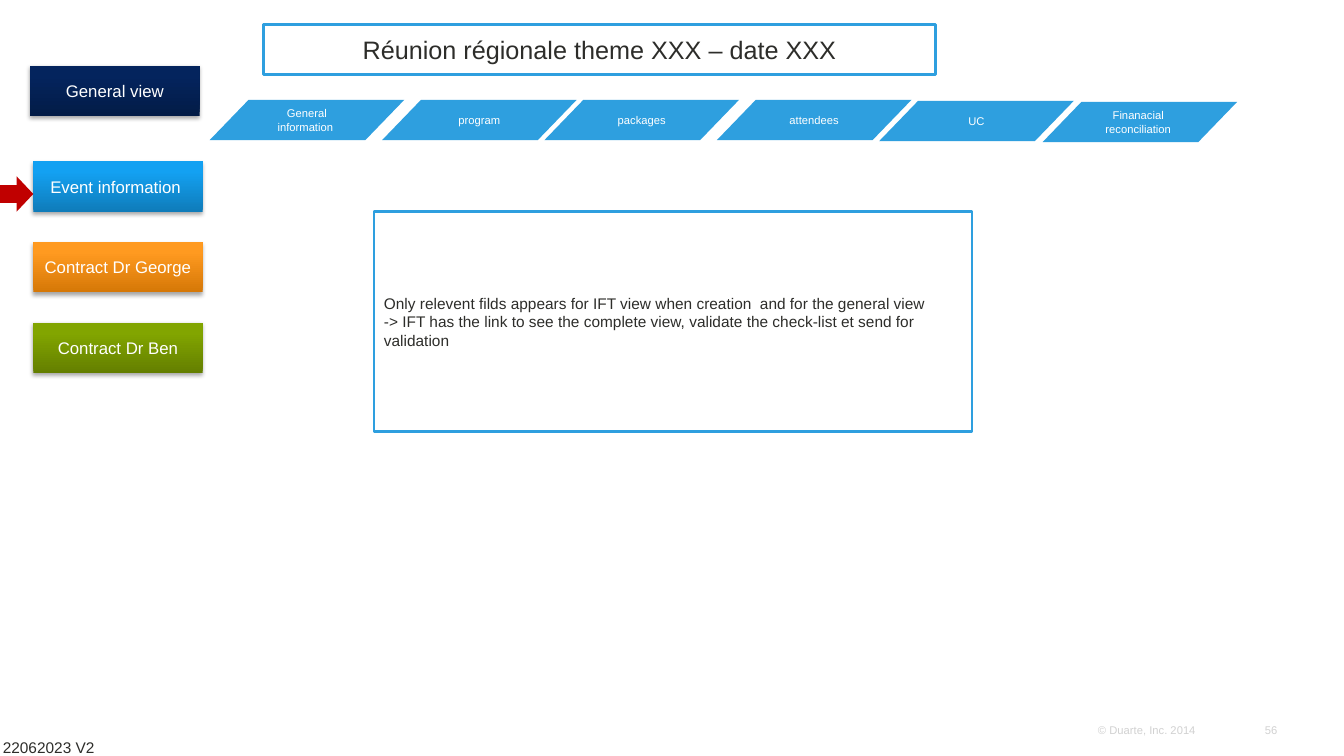
"""Build the event information slide; box lengths are percentages of the slide's size."""
import lxml.etree
import pptx
import pptx.dml.color
import pptx.enum.dml
import pptx.enum.shapes
import pptx.enum.text
import pptx.oxml.ns
import pptx.util

RGBColor = pptx.dml.color.RGBColor
SHAPE = pptx.enum.shapes.MSO_SHAPE
ALIGN = pptx.enum.text.PP_ALIGN
ANCHOR = pptx.enum.text.MSO_ANCHOR
AUTO_SIZE = pptx.enum.text.MSO_AUTO_SIZE
qn = pptx.oxml.ns.qn

WIDTH = pptx.util.Inches(13.33)
HEIGHT = pptx.util.Inches(7.5)
FONT = "Arial"

WHITE = RGBColor(0xFF, 0xFF, 0xFF)
INK = RGBColor(0x2D, 0x2D, 0x2A)
GREY = RGBColor(0xD1, 0xD1, 0xD1)
SKY = RGBColor(0x2E, 0x9F, 0xDF)
RED = RGBColor(0xC0, 0x00, 0x00)
NAVY_DARK, NAVY = RGBColor(0x03, 0x1C, 0x47), RGBColor(0x04, 0x24, 0x5D)
BLUE_DARK, BLUE = RGBColor(0x0F, 0x7C, 0xBA), RGBColor(0x13, 0xA1, 0xF2)
ORANGE_DARK, ORANGE = RGBColor(0xD6, 0x78, 0x07), RGBColor(0xFF, 0x9A, 0x20)
GREEN_DARK, GREEN = RGBColor(0x64, 0x7F, 0x00), RGBColor(0x82, 0xA5, 0x00)

STEPS = [
    ("General information ", 15.6, 13.2),
    ("program", 28.43, 13.2),
    ("packages", 40.51, 13.2),
    ("attendees", 53.34, 13.2),
    ("UC", 65.42, 13.33),
    ("Finanacial  reconciliation ", 77.57, 13.47),
]
BUTTONS = [
    ("General view", 2.25, 8.67, NAVY_DARK, NAVY),
    ("Event information ", 2.48, 21.33, BLUE_DARK, BLUE),
    ("Contract Dr George", 2.48, 32, ORANGE_DARK, ORANGE),
    ("Contract Dr Ben", 2.48, 42.67, GREEN_DARK, GREEN),
]
NOTE = (
    "Only relevent filds appears for IFT view when creation  and for the general view\n"
    "-> IFT has the link to see the complete view, validate the check-list et send for validation"
)


def box(left, top, width, height):
    """Turn percentages of the slide into lengths."""
    return (int(WIDTH * left / 100), int(HEIGHT * top / 100),
            int(WIDTH * width / 100), int(HEIGHT * height / 100))


def write(sp, text, size, color, align=ALIGN.CENTER, anchor=ANCHOR.MIDDLE):
    """Put formatted text in a shape."""
    tf = sp.text_frame
    tf.text = text
    tf.word_wrap = True
    tf.auto_size = AUTO_SIZE.NONE
    tf.vertical_anchor = anchor
    for p in tf.paragraphs:
        p.alignment = align
        for r in p.runs:
            r.font.name = FONT
            r.font.size = pptx.util.Pt(size)
            r.font.color.rgb = color


def add_plain(slide, kind, place, color):
    """Add a flat shape without outline or shadow."""
    sp = slide.shapes.add_shape(kind, *box(*place))
    sp.shadow.inherit = False
    sp.fill.solid()
    sp.fill.fore_color.rgb = color
    sp.line.fill.background()
    return sp


def frame(sp):
    """Give a shape a white fill and a blue outline."""
    sp.fill.solid()
    sp.fill.fore_color.rgb = WHITE
    sp.line.color.rgb = SKY
    sp.line.width = pptx.util.Pt(2)


def drop_shadow(sp):
    """Add a soft shadow below a shape."""
    effects = sp._element.spPr.find(qn("a:effectLst"))
    shadow = lxml.etree.SubElement(
        effects, qn("a:outerShdw"), blurRad=str(pptx.util.Pt(3.1)),
        dist=str(pptx.util.Pt(1.8)), dir="5400000", rotWithShape="0")
    color = lxml.etree.SubElement(shadow, qn("a:srgbClr"), val="000000")
    lxml.etree.SubElement(color, qn("a:alpha"), val="35000")


def add_button(slide, text, left, top, dark, light):
    """Add a navigation button shaded from dark at the bottom to light."""
    sp = add_plain(slide, SHAPE.RECTANGLE, (left, top, 12.6, 6.67), light)
    sp.fill.gradient()
    sp.fill.gradient_angle = 90
    for stop, color, position in zip(sp.fill.gradient_stops, (dark, light), (0, 0.8)):
        stop.color.rgb = color
        stop.position = position
    drop_shadow(sp)
    write(sp, text, 12, WHITE)


def add_step(slide, text, left, top):
    """Add one slanted step of the process bar."""
    sp = add_plain(slide, SHAPE.FLOWCHART_DATA, (left, top, 14.48, 5.33), SKY)
    write(sp, text, 8, WHITE)


def add_footer(slide, text, place):
    """Add a small right-aligned footer text without margins."""
    sp = slide.shapes.add_textbox(*box(*place))
    write(sp, text, 8, GREY, ALIGN.RIGHT, ANCHOR.TOP)
    tf = sp.text_frame
    tf.margin_left = tf.margin_right = tf.margin_top = tf.margin_bottom = 0


def main():
    """Build and save the slide."""
    prs = pptx.Presentation()
    prs.slide_width, prs.slide_height = WIDTH, HEIGHT
    slide = prs.slides.add_slide(prs.slide_layouts[5])

    title = slide.shapes.title
    title.left, title.top, title.width, title.height = box(19.58, 3.2, 50.04, 6.67)
    frame(title)
    write(title, "Réunion régionale theme XXX – date XXX", 18, INK)

    add_footer(slide, "56", (89.05, 95.73, 6, 1.73))
    add_footer(slide, "© Duarte, Inc. 2014", (76.97, 95.73, 12, 1.73))
    version = slide.shapes.add_textbox(*box(-0.53, 96.93, 21.23, 3.87))
    write(version, "22062023 V2", 11, INK, ALIGN.LEFT, ANCHOR.TOP)

    for step in STEPS:
        add_step(slide, *step)
    for button in BUTTONS:
        add_button(slide, *button)
    add_plain(slide, SHAPE.RIGHT_ARROW, (0, 23.33, 2.48, 4.67), RED)

    note = add_plain(slide, SHAPE.RECTANGLE, (27.83, 28, 44.49, 29.07), WHITE)
    frame(note)
    write(note, NOTE, 11, INK, ALIGN.LEFT)

    prs.save("out.pptx")


if __name__ == "__main__":
    main()
